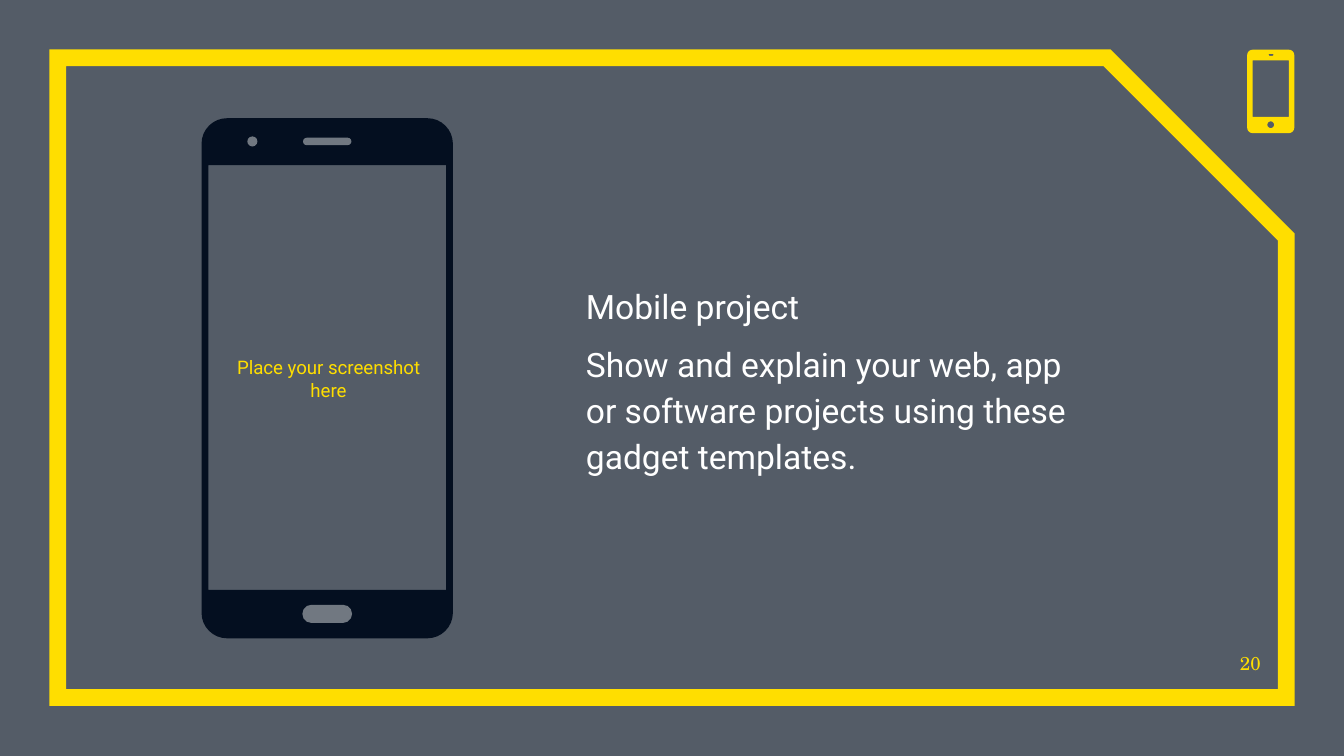
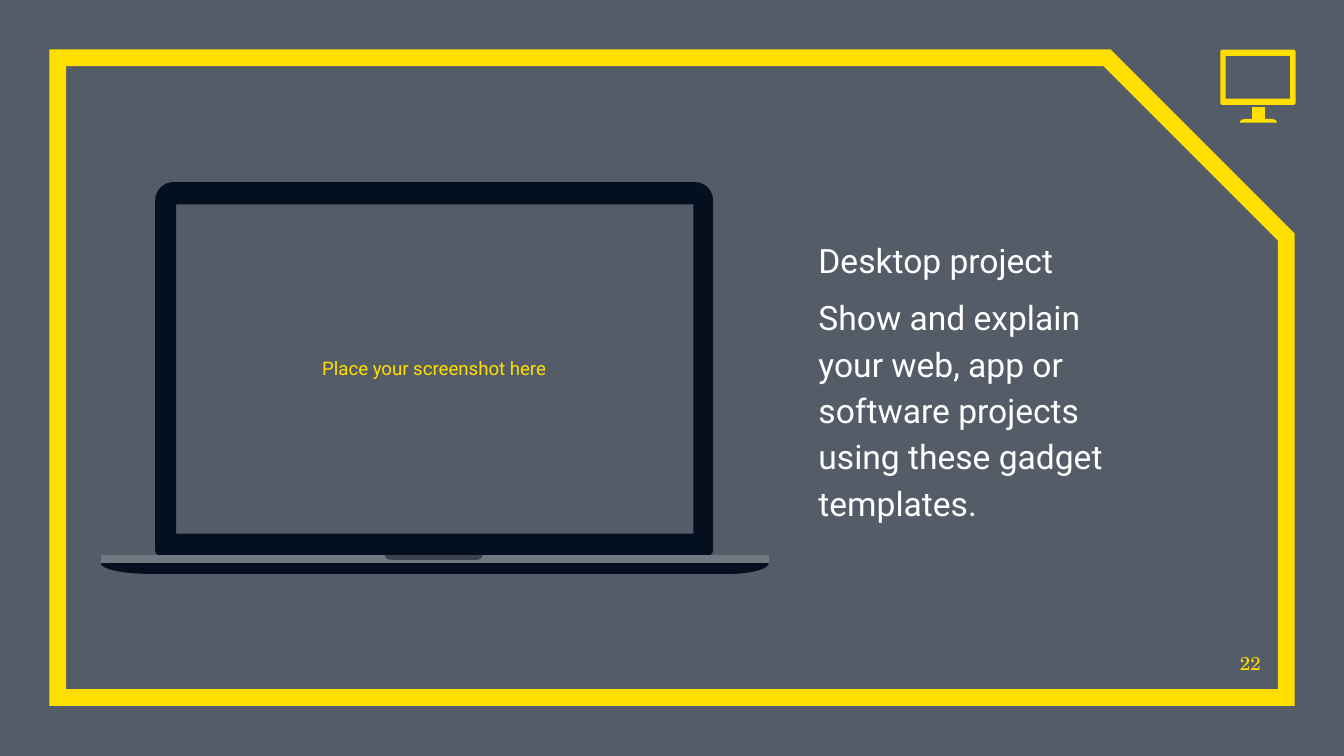
from dataclasses import dataclass
from math import cos, radians, sin

from lxml import etree
from pptx import Presentation
from pptx.dml.color import RGBColor
from pptx.enum.shapes import MSO_SHAPE
from pptx.enum.text import MSO_ANCHOR, PP_ALIGN
from pptx.oxml.ns import qn
from pptx.util import Inches, Pt

RECTANGLE = MSO_SHAPE.RECTANGLE
SNIPPED = MSO_SHAPE.SNIP_1_RECTANGLE
PILL = MSO_SHAPE.ROUNDED_RECTANGLE
OVAL = MSO_SHAPE.OVAL
MIDDLE, BOTTOM = MSO_ANCHOR.MIDDLE, MSO_ANCHOR.BOTTOM
LEFT, CENTER, RIGHT = PP_ALIGN.LEFT, PP_ALIGN.CENTER, PP_ALIGN.RIGHT


@dataclass(frozen=True)
class Theme:
    navy: str = "040F20"
    yellow: str = "FFDE00"
    grey: str = "717881"
    white: str = "FFFFFF"
    font: str = "Roboto"
    number_font: str = "TeX Gyre Schola"
    body_size: int = 18
    small_size: int = 10
    frame_width: int = 9


theme = Theme()

COLUMNS, ROWS = 100, 56.25
CELL = Inches(10) / COLUMNS


def contour(left, top, width, height, *corners):
    radii = (corners or ((0, 0),)) * (1 if len(corners) == 4 else 4)
    points = []
    for index, (across, down) in enumerate(radii[:4]):
        center_x = left + across if index in (0, 3) else left + width - across
        center_y = top + down if index < 2 else top + height - down
        steps = 8 if across else 0
        for step in range(steps + 1):
            angle = radians(180 + 90 * index + 90 * step / (steps or 1))
            points.append((center_x + across * cos(angle), center_y + down * sin(angle)))
    return points


def paint(shape, colour, opacity=100):
    shape.shadow.inherit = False
    shape.line.fill.background()
    shape.fill.solid()
    shape.fill.fore_color.rgb = RGBColor.from_string(colour)
    if opacity < 100:
        tint = shape.fill._xPr.find(qn("a:solidFill"))[0]
        etree.SubElement(tint, qn("a:alpha")).set("val", str(opacity * 1000))


EXPLANATION = "Show and explain your web, app or software projects using these gadget templates."

phone_outlines = [
    (theme.navy, 100, [contour(15, 8.8, 18.7, 38.7, (1.9, 1.9)),
                       contour(15.5, 12.3, 17.7, 31.6)]),
    (theme.yellow, 100, [contour(92.8, 3.7, 3.5, 6.2, (0.4, 0.4)),
                         contour(93.2, 4.5, 2.7, 4.2),
                         contour(94.4, 4, 0.35, 0.15, (0.07, 0.07)),
                         contour(94.3, 9.03, 0.5, 0.5, (0.25, 0.25))]),
]
phone_details = [
    (PILL, (22.5, 45, 3.7, 1.35)),
    (OVAL, (18.4, 10.15, 0.75, 0.75)),
    (PILL, (22.55, 10.25, 3.6, 0.55)),
]

lid_top, lid_bottom, foot = (1.35, 1.35), (0.4, 0.4), (0.45, 0.25)
laptop_outlines = [
    (theme.navy, 100, [contour(11.55, 13.55, 41.5, 27.8, lid_top, lid_top, lid_bottom, lid_bottom),
                       contour(13.1, 15.2, 38.5, 24.5)]),
    (theme.navy, 100, [contour(7.5, 41.9, 49.7, 0.8, (0, 0), (0, 0), (2.9, 0.8), (3.6, 0.8))]),
    (theme.grey, 100, [contour(7.5, 41.3, 49.7, 0.6)]),
    (theme.navy, 50, [contour(28.65, 41.3, 7.25, 0.35, (0, 0), (0, 0), (0.4, 0.35), (0.4, 0.35))]),
    (theme.yellow, 100, [contour(93.15, 7.95, 0.95, 0.95)]),
    (theme.yellow, 100, [contour(92.25, 8.85, 2.75, 0.27, foot, foot, (0, 0), (0, 0))]),
    (theme.yellow, 100, [contour(90.8, 3.7, 5.6, 4.1, (0.15, 0.15)),
                         contour(91.2, 4.15, 4.8, 3.2)]),
]

slides = [
    ("Mobile project", "20", (43.6, 16.6, 38, 23.1), (15.6, 12.4, 17.7, 31.5),
     phone_outlines, phone_details),
    ("Desktop project", "22", (60.9, 16.6, 22.6, 23.1), (13, 15.1, 38.6, 24.6),
     laptop_outlines, []),
]

deck = Presentation()
deck.slide_width = round(COLUMNS * CELL)
deck.slide_height = round(ROWS * CELL)

for heading, number, body_area, screen_area, outlines, details in slides:
    page = deck.slides.add_slide(deck.slide_layouts[6])

    backdrop = page.shapes.add_shape(RECTANGLE, 0, 0, deck.slide_width, deck.slide_height)
    paint(backdrop, theme.navy, 68)

    frame_area = [round(share * CELL) for share in (4.3, 4.3, 91.4, 47.6)]
    frame = page.shapes.add_shape(SNIPPED, *frame_area)
    frame.shadow.inherit = False
    frame.adjustments[0] = 0.28
    frame.fill.background()
    frame.line.color.rgb = RGBColor.from_string(theme.yellow)
    frame.line.width = Pt(theme.frame_width)
    etree.SubElement(frame.line._get_or_add_ln(), qn("a:miter")).set("lim", "800000")

    for colour, opacity, contours in outlines:
        rings = [contours[0]] + [hole[::-1] for hole in contours[1:]]
        rings = [[(x * CELL, y * CELL) for x, y in ring] for ring in rings]
        builder = page.shapes.build_freeform(*rings[0][0])
        for ring in rings:
            if ring is not rings[0]:
                builder.move_to(*ring[0])
            builder.add_line_segments(ring[1:], close=True)
        paint(builder.convert_to_shape(), colour, opacity)

    for kind, area in details:
        detail = page.shapes.add_shape(kind, *[round(share * CELL) for share in area])
        paint(detail, theme.grey)
        if kind == PILL:
            detail.adjustments[0] = 0.5

    texts = [
        (body_area, f"{heading}\n{EXPLANATION}", theme.font, theme.body_size,
         theme.white, LEFT, MIDDLE, 0, 1.15),
        (screen_area, "Place your screenshot here", theme.font, theme.small_size,
         theme.yellow, CENTER, MIDDLE, 1, 1),
        ((91.1, 47.4, 2.7, 2.8), number, theme.number_font, theme.small_size,
         theme.yellow, RIGHT, BOTTOM, 0, 1),
    ]
    for area, words, font, size, colour, alignment, anchor, inset, spacing in texts:
        box = page.shapes.add_textbox(*[round(share * CELL) for share in area])
        text_frame = box.text_frame
        text_frame.word_wrap = True
        text_frame.vertical_anchor = anchor
        text_frame.margin_left = text_frame.margin_right = round(inset * CELL)
        text_frame.margin_top = text_frame.margin_bottom = round(inset * CELL)
        text_frame.text = words
        for position, para in enumerate(text_frame.paragraphs):
            para.alignment = alignment
            para.line_spacing = spacing
            if position:
                para.space_before = Pt(6)
            for span in para.runs:
                span.font.name = font
                span.font.size = Pt(size)
                span.font.color.rgb = RGBColor.from_string(colour)

deck.save("out.pptx")
